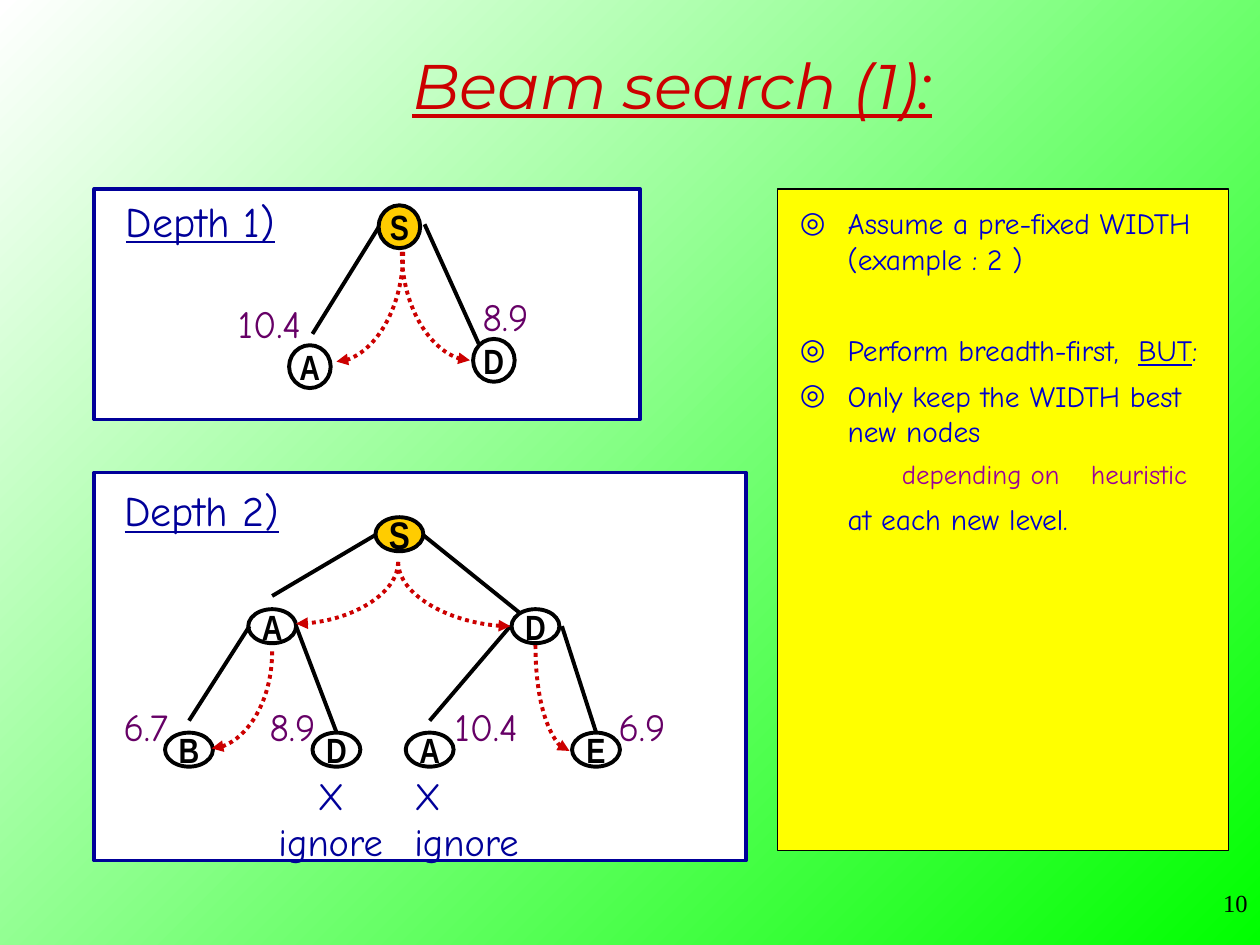
from lxml import etree
from pptx import Presentation
from pptx.dml.color import RGBColor
from pptx.enum.dml import MSO_LINE
from pptx.enum.shapes import MSO_CONNECTOR, MSO_SHAPE
from pptx.enum.text import MSO_ANCHOR, MSO_AUTO_SIZE, PP_ALIGN
from pptx.oxml.ns import qn
from pptx.util import Inches, Pt

STRAIGHT, CURVE = MSO_CONNECTOR.STRAIGHT, MSO_CONNECTOR.CURVE
RECTANGLE, OVAL = MSO_SHAPE.RECTANGLE, MSO_SHAPE.OVAL
LEFT, CENTER, RIGHT = PP_ALIGN.LEFT, PP_ALIGN.CENTER, PP_ALIGN.RIGHT
MIDDLE = MSO_ANCHOR.MIDDLE
NO_AUTOFIT = MSO_AUTO_SIZE.NONE
DOTTED = MSO_LINE.ROUND_DOT

WHITE = RGBColor(0xFF, 0xFF, 0xFF)
BLACK = RGBColor(0, 0, 0)
GREEN = RGBColor(0, 0xFF, 0)
YELLOW = RGBColor(0xFF, 0xFF, 0)
GOLD = RGBColor(0xFF, 0xCC, 0)
RED = RGBColor(0xCC, 0, 0)
NAVY = RGBColor(0, 0, 0x99)
BLUE = RGBColor(0, 0, 0xCC)
PURPLE = RGBColor(0x66, 0, 0x66)
MAGENTA = RGBColor(0x99, 0, 0x99)

TEXT_FONT = "Comic Neue"
NODE_FONT = "Arial Narrow"
TITLE_FONT = "Montserrat"
NUMBER_FONT = "Times New Roman"


class SearchSlide:
    def __init__(self, slide):
        self.slide = slide
        self.shapes = slide.shapes

    def background(self, start, end):
        fill = self.slide.background.fill
        fill.gradient()
        fill.gradient_angle = 315
        for stop, color, position in zip(fill.gradient_stops, (start, end), (0, 1)):
            stop.color.rgb = color
            stop.position = position

    def style(self, paragraph, size, color, font=TEXT_FONT, align=LEFT):
        paragraph.alignment = align
        paragraph.font.size = Pt(size)
        paragraph.font.name = font
        paragraph.font.color.rgb = color

    def title(self, words, left, top, width, height):
        title = self.shapes.title
        title.left, title.top = Inches(left), Inches(top)
        title.width, title.height = Inches(width), Inches(height)
        frame = title.text_frame
        frame.text = words
        frame.vertical_anchor = MIDDLE
        frame.auto_size = NO_AUTOFIT
        heading = frame.paragraphs[0]
        self.style(heading, 36, RED, TITLE_FONT, CENTER)
        heading.font.italic = heading.font.underline = True

    def shape(self, kind, left, top, width, height, fill, line, weight):
        shape = self.shapes.add_shape(
            kind, Inches(left), Inches(top), Inches(width), Inches(height))
        shape.shadow.inherit = False
        if fill is None:
            shape.fill.background()
        else:
            shape.fill.solid()
            shape.fill.fore_color.rgb = fill
        shape.line.color.rgb = line
        shape.line.width = Pt(weight)
        return shape

    def panel(self, left, top, width, height, fill=WHITE, line=NAVY, weight=2.25):
        self.shape(RECTANGLE, left, top, width, height, fill, line, weight)

    def node(self, letter, x, y, width, height, fill=None, size=20):
        oval = self.shape(OVAL, x - width / 2, y - height / 2, width, height,
                          fill, BLACK, 2.25)
        frame = oval.text_frame
        frame.word_wrap = False
        frame.vertical_anchor = MIDDLE
        frame.text = letter
        self.style(frame.paragraphs[0], size, BLACK, NODE_FONT, CENTER)
        frame.paragraphs[0].font.bold = True

    def label(self, lines, left, top, width, height, size=22, color=PURPLE,
              font=TEXT_FONT, align=LEFT, underline=None):
        box = self.shapes.add_textbox(
            Inches(left), Inches(top), Inches(width), Inches(height))
        frame = box.text_frame
        frame.word_wrap = False
        frame.text = lines
        for paragraph in frame.paragraphs:
            self.style(paragraph, size, color, font, align)
            paragraph.font.underline = underline

    def connector(self, kind, x1, y1, x2, y2, color):
        connector = self.shapes.add_connector(
            kind, Inches(x1), Inches(y1), Inches(x2), Inches(y2))
        connector.line.color.rgb = color
        connector.line.width = Pt(2.25)
        etree.SubElement(connector._element.spPr, qn("a:effectLst"))
        return connector

    def branch(self, x1, y1, x2, y2):
        self.connector(STRAIGHT, x1, y1, x2, y2, BLACK)

    def visit(self, x1, y1, x2, y2):
        across, down = abs(x2 - x1), y2 - y1
        left = (x1 + x2 - down) / 2
        top = (y1 + y2 - across) / 2
        arc = self.connector(CURVE, left, top, left + down, top + across, RED)
        arc.line.dash_style = DOTTED
        properties = arc._element.spPr
        properties.find(qn("a:prstGeom")).set("prst", "curvedConnector2")
        transform = properties.find(qn("a:xfrm"))
        transform.set("rot", str((90 if x2 < x1 else 270) * 60000))
        if x2 > x1:
            transform.set("flipH", "1")
        outline = properties.find(qn("a:ln"))
        etree.SubElement(outline, qn("a:tailEnd"), type="triangle")

    def notes(self, items, left, top, width, height):
        box = self.shapes.add_textbox(
            Inches(left), Inches(top), Inches(width), Inches(height))
        frame = box.text_frame
        frame.word_wrap = True
        for index, (runs, bullet, margin, before, size, color) in enumerate(items):
            paragraph = frame.paragraphs[0] if index == 0 else frame.add_paragraph()
            self.style(paragraph, size, color)
            paragraph.space_before = Pt(before)
            for words, underline in runs:
                run = paragraph.add_run()
                run.text = words
                run.font.underline = underline
            properties = paragraph._p.get_or_add_pPr()
            properties.set("marL", str(Inches(margin)))
            properties.set("indent", str(Inches(-margin if bullet else 0)))
            if bullet:
                tint = etree.SubElement(properties, qn("a:buClr"))
                etree.SubElement(tint, qn("a:srgbClr"), val=str(color))
                etree.SubElement(properties, qn("a:buFont"), typeface=TEXT_FONT)
                etree.SubElement(properties, qn("a:buChar"), char=bullet)
            else:
                etree.SubElement(properties, qn("a:buNone"))
            for default in properties.findall(qn("a:defRPr")):
                properties.append(default)


def main():
    deck = Presentation()
    deck.slide_width, deck.slide_height = Inches(10), Inches(7.5)
    page = SearchSlide(deck.slides.add_slide(deck.slide_layouts[5]))
    page.background(WHITE, GREEN)
    page.title("Beam search (1):", 2.25, 0.17, 6.17, 1)
    page.label("10", 7.92, 7, 2.08, 0.5, 14, BLACK, NUMBER_FONT, RIGHT)

    page.panel(6.17, 1.5, 3.58, 5.25, YELLOW, BLACK, 0.75)
    page.notes([
        ([("Assume a pre-fixed WIDTH (example : 2 )", None)], "◎", 0.38, 6, 16.8, BLUE),
        ([("Perform breadth-first,  ", None), ("BUT", True), (":", None)],
         "◎", 0.38, 32, 16.8, BLUE),
        ([("Only keep the WIDTH best new nodes", None)], "◎", 0.38, 6, 16.8, BLUE),
        ([("depending on\theuristic", None)], None, 0.81, 5.5, 15.4, MAGENTA),
        ([("at each new level.", None)], None, 0.38, 6, 16.8, BLUE),
    ], 6.25, 1.58, 3.5, 2.75)

    panels = [("Depth 1)", (0.75, 1.5, 4.33, 1.83), (0.9, 1.5, 1.5, 0.5)),
              ("Depth 2)", (0.75, 3.75, 5.17, 3.08), (0.89, 3.8, 1.5, 0.5))]
    for heading, frame, place in panels:
        page.panel(*frame)
        page.label(heading, *place, 24, NAVY, underline=True)

    branches = [(3.02, 1.78, 2.48, 2.65), (3.37, 1.78, 3.8, 2.73),
                (2.99, 4.24, 2.16, 4.73), (3.35, 4.24, 4.12, 4.86),
                (1.98, 4.97, 1.5, 5.72), (2.35, 4.97, 2.67, 5.81),
                (4.05, 4.97, 3.41, 5.72), (4.46, 4.97, 4.73, 5.81)]
    for ends in branches:
        page.branch(*ends)

    for letter, x, y, fill in [("S", 3.17, 1.8, GOLD), ("A", 2.46, 2.91, None),
                               ("D", 3.92, 2.86, None)]:
        page.node(letter, x, y, 0.33, 0.34, fill)

    page.node("S", 3.17, 4.24, 0.38, 0.27, GOLD, 22)
    levels = [(4.97, [("A", 2.16), ("D", 4.25)]),
              (5.95, [("B", 1.5), ("D", 2.67), ("A", 3.41), ("E", 4.73)])]
    for y, nodes in levels:
        for letter, x in nodes:
            page.node(letter, x, y, 0.38, 0.27)

    costs = [("10.4", 1.79, 2.33), ("8.9", 3.73, 2.28), ("6.7", 0.88, 5.53),
             ("8.9", 2.04, 5.53), ("10.4", 3.51, 5.53), ("6.9", 4.81, 5.53)]
    for cost, left, top in costs:
        page.label(cost, left, top, 0.75, 0.47)

    visits = [(3.2, 2, 2.67, 2.87), (3.19, 2, 3.73, 2.86),
              (3.16, 4.46, 2.35, 4.95), (3.16, 4.46, 4.05, 4.97),
              (2.16, 5.17, 1.68, 5.94), (4.25, 5.12, 4.52, 5.96)]
    for ends in visits:
        page.visit(*ends)

    for left, align in [(2.11, CENTER), (3.19, LEFT)]:
        page.label("X\nignore", left, 6.08, 1.03, 0.84, color=NAVY, align=align)

    deck.save("out.pptx")


if __name__ == "__main__":
    main()
